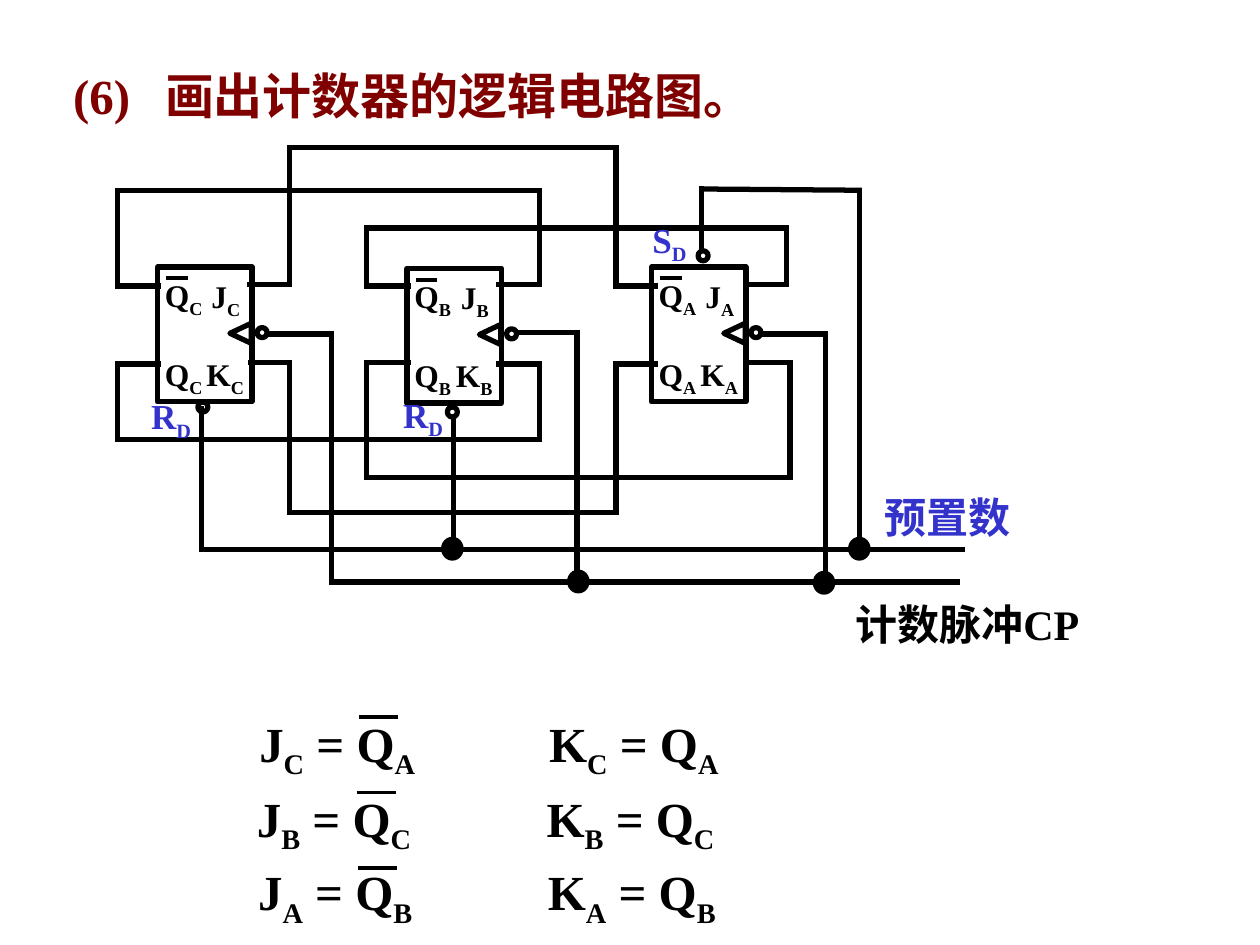
from lxml import etree
from pptx import Presentation
from pptx.dml.color import RGBColor
from pptx.enum.shapes import MSO_CONNECTOR, MSO_SHAPE
from pptx.enum.text import MSO_ANCHOR, MSO_AUTO_SIZE, PP_ALIGN
from pptx.oxml.ns import qn
from pptx.util import Pt

PX = 9144
STRAIGHT = MSO_CONNECTOR.STRAIGHT
RECT, OVAL, TRIANGLE = MSO_SHAPE.RECTANGLE, MSO_SHAPE.OVAL, MSO_SHAPE.FLOWCHART_EXTRACT
TOP, MIDDLE = MSO_ANCHOR.TOP, MSO_ANCHOR.MIDDLE
FONT = "Times New Roman"
COLORS = {"ink": "000000", "blue": "3333CC", "title": "800000"}

FLIP_FLOPS = [("C", 125, 212), ("B", 323, 213), ("A", 517, 212)]
WIRES = [
    [(396, 226), (428, 226), (428, 151), (93, 151), (93, 227), (126, 227)],
    [(592, 226), (624, 226), (624, 181), (291, 181), (291, 227), (324, 227)],
    [(198, 226), (230, 226), (230, 117), (489, 117), (489, 227), (520, 227)],
    [(396, 289), (428, 289), (428, 349), (93, 349), (93, 289), (126, 289)],
    [(592, 288), (627, 288), (627, 379), (291, 379), (291, 288), (324, 288)],
    [(199, 288), (230, 288), (230, 407), (489, 407), (489, 289), (520, 289)],
    [(214, 265), (263, 265), (263, 462), (760, 462)],
    [(411, 264), (458, 264), (458, 462)],
    [(607, 265), (655, 265), (655, 462)],
    [(160, 324), (160, 436), (764, 436)],
    [(360, 332), (360, 436)],
    [(557, 199), (557, 150), (682, 151), (682, 436)],
]
JUNCTIONS = [(359, 435), (459, 461), (654, 462), (682, 435)]
PRESETS = [("R_D", (110, 308), (157, 319)), ("R_D", (310, 307), (355, 323)),
           ("S_D", (508, 168), (554, 199))]
EQUATIONS = [("J_C = Q_A\tK_C = Q_A", 196, 561),
             ("J_B = Q_C\tK_B = Q_C", 194, 621),
             ("J_A = Q_B\tK_A = Q_B", 195, 679)]


def rgb(name):
    """Return the named colour."""
    return RGBColor.from_string(COLORS[name])


def fill_text(sp, text, size, color, anchor, tab=None):
    """Write one bold line, where _ lowers the next letter to a subscript."""
    tf = sp.text_frame
    tf.word_wrap = True
    tf.vertical_anchor = anchor
    p = tf.paragraphs[0]
    p.alignment = PP_ALIGN.LEFT
    p.space_before = Pt(size * 0.625)
    if tab:
        tabs = etree.SubElement(p._p.get_or_add_pPr(), qn("a:tabLst"))
        etree.SubElement(tabs, qn("a:tab"), pos=str(tab * PX), algn="l")
    head, *rest = text.split("_")
    pieces = [(head, False)]
    for part in rest:
        pieces += [(part[0], True), (part[1:], False)]
    for piece, lowered in pieces:
        if not piece:
            continue
        r = p.add_run()
        r.text = piece
        r.font.name, r.font.size, r.font.bold = FONT, Pt(size), True
        r.font.color.rgb = rgb(color)
        if lowered:
            r.font._element.set("baseline", "-25000")


def add_label(s, box, text, size, color="ink", anchor=MIDDLE, tab=None):
    """Add a text box that holds one line."""
    sp = s.shapes.add_textbox(*(v * PX for v in box))
    fill_text(sp, text, size, color, anchor, tab)
    sp.text_frame.auto_size = MSO_AUTO_SIZE.SHAPE_TO_FIT_TEXT


def add_outline(s, kind, box, filled=False):
    """Add a black shape, either solid or as an outline."""
    sp = s.shapes.add_shape(kind, *(v * PX for v in box))
    sp.shadow.inherit = False
    if filled:
        sp.fill.solid()
        sp.fill.fore_color.rgb = rgb("ink")
        sp.line.fill.background()
    else:
        sp.fill.background()
        sp.line.color.rgb = rgb("ink")
        sp.line.width = Pt(3)
    return sp


def add_line(s, start, end, width=3, cap="flat"):
    """Add a straight black line."""
    c = s.shapes.add_connector(STRAIGHT, *(v * PX for v in (*start, *end)))
    c.line.color.rgb = rgb("ink")
    c.line.width = Pt(width)
    c.line._get_or_add_ln().set("cap", cap)
    etree.SubElement(c._element.spPr, qn("a:effectLst"))


def add_title(s, x, y, w, h):
    """Place and fill the title."""
    sp = s.shapes.title
    sp.left, sp.top, sp.width, sp.height = (v * PX for v in (x, y, w, h))
    fill_text(sp, "(6)\t画出计数器的逻辑电路图。", 28, "title", MIDDLE, tab=73)
    sp.text_frame.auto_size = MSO_AUTO_SIZE.NONE


def add_flip_flop(s, name, x, y):
    """Draw one JK flip-flop with its clock input and pin names."""
    add_outline(s, RECT, (x, y, 75, 107))
    add_outline(s, TRIANGLE, (x + 58, y + 44, 16, 17)).rotation = 270
    add_outline(s, OVAL, (x + 79, y + 48, 8, 8))
    for pin, dx, dy in [("Q", -4, 2), ("J", 33, 3), ("Q", -4, 65), ("K", 29, 65)]:
        add_label(s, (x + dx, y + dy, 73, 44), f"{pin}_{name}", 18, anchor=TOP)
    add_line(s, (x + 7, y + 9), (x + 24, y + 9), 2.25)


def add_circuit(s):
    """Draw the flip-flops, their wires and the input labels."""
    for name, x, y in FLIP_FLOPS:
        add_flip_flop(s, name, x, y)
    for points in WIRES:
        for start, end in zip(points, points[1:]):
            add_line(s, start, end, cap="sq")
    for x, y in JUNCTIONS:
        add_outline(s, OVAL, (x - 9, y - 9, 18, 19), filled=True)
    for text, place, bubble in PRESETS:
        add_label(s, (*place, 79, 48), text, 20, "blue")
        add_outline(s, OVAL, (*bubble, 8, 8))
    add_label(s, (692, 385, 145, 50), "预置数", 24, "blue")
    add_label(s, (669, 470, 211, 50), "计数脉冲CP", 24)


def add_equation(s, text, x, y):
    """Write a pair of input equations with a bar over the first Q."""
    add_label(s, (x, y, 533, 63), text, 28, tab=230)
    bar_y = y + (10 if y > 650 else 8)
    add_line(s, (x + 89, bar_y), (x + 120, bar_y), 2.25)


def main():
    """Build and save the slide."""
    prs = Presentation()
    prs.slide_width, prs.slide_height = 1000 * PX, 750 * PX
    s = prs.slides.add_slide(prs.slide_layouts[5])
    add_title(s, 48, 47, 845, 57)
    add_circuit(s)
    for text, x, y in EQUATIONS:
        add_equation(s, text, x, y)
    prs.save("out.pptx")


if __name__ == "__main__":
    main()
